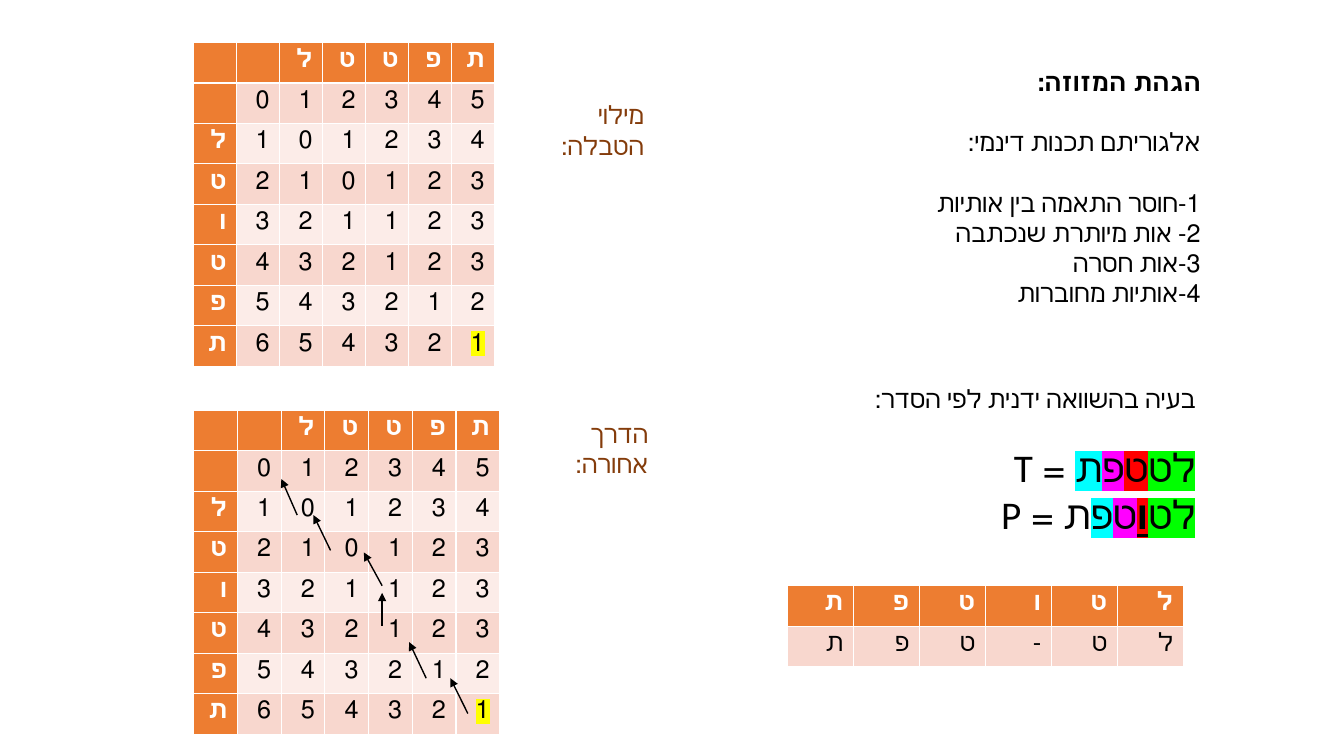
from lxml import etree
from pptx import Presentation
from pptx.dml.color import RGBColor
from pptx.enum.lang import MSO_LANGUAGE_ID
from pptx.enum.shapes import MSO_CONNECTOR
from pptx.enum.text import PP_ALIGN
from pptx.oxml.ns import qn
from pptx.util import Cm, Pt

RIGHT = PP_ALIGN.RIGHT
LINE = MSO_CONNECTOR.STRAIGHT
HEBREW = MSO_LANGUAGE_ID.HEBREW

HUES = {
    "black": "000000", "white": "FFFFFF", "brown": "843C0B",
    "orange": "ED7D31", "dark": "F8D7CE", "light": "FCECE8",
    "green": "00FF00", "red": "FF0000", "pink": "FF00FF",
    "cyan": "00FFFF", "yellow": "FFFF00",
}


def style(para, hue="black", size=18, bold=False):
    para.alignment = RIGHT
    para._p.get_or_add_pPr().set("rtl", "1")
    for run in para.runs:
        font = run.font
        font.size = Pt(size)
        font.bold = bold
        font.name = "Calibri"
        font.language_id = HEBREW
        font.color.rgb = RGBColor.from_string(HUES[hue])


def mark(run, hue):
    tag = etree.Element(qn("a:highlight"))
    etree.SubElement(tag, qn("a:srgbClr")).set("val", HUES[hue])
    run._r.rPr.find(qn("a:solidFill")).addnext(tag)


deck = Presentation()
deck.slide_width = Cm(33.87)
deck.slide_height = Cm(19.05)
slide = deck.slides.add_slide(deck.slide_layouts[6])
shapes = slide.shapes

notes = [
    ("הגהת המזוזה:", 0),
    ("אלגוריתם תכנות דינמי:", 21.5),
    ("1-חוסר התאמה בין אותיות", 21.5),
    ("2- אות מיותרת שנכתבה", 0),
    ("3-אות חסרה", 0),
    ("4-אותיות מחוברות", 0),
]
box = shapes.add_textbox(Cm(19.18), Cm(1.55), Cm(11.33), Cm(7.19))
frame = box.text_frame
frame.word_wrap = True
frame.text = "\n".join(text for text, gap in notes)
for row, (para, (text, gap)) in enumerate(zip(frame.paragraphs, notes)):
    style(para, bold=row == 0)
    para.space_before = Pt(gap)

words = [
    [("לט", "green"), ("ט", "red"), ("פ", "pink"), ("ת", "cyan"), (" = T", None)],
    [("לט", "green"), ("ו", "red"), ("ט", "pink"), ("פ", "cyan"), ("ת = P", None)],
]
box = shapes.add_textbox(Cm(21.64), Cm(9.53), Cm(8.74), Cm(4.19))
frame = box.text_frame
frame.word_wrap = True
frame.text = "בעיה בהשוואה ידנית לפי הסדר:"
style(frame.paragraphs[0])
for word in words:
    para = frame.add_paragraph()
    for text, hue in word:
        para.add_run().text = text
    style(para, size=28)
    for run, (text, hue) in zip(para.runs, word):
        if hue:
            mark(run, hue)
        if text == "ו":
            run.font.bold = True
            run.font.underline = True
frame.paragraphs[1].space_before = Pt(21.5)

labels = [
    ("מילוי הטבלה:", 13.89, 2.39, 1.5),
    ("הדרך אחורה:", 14.25, 10.41, 1.75),
]
for text, left, top, inset in labels:
    box = shapes.add_textbox(Cm(left), Cm(top), Cm(3.84), Cm(1.02))
    frame = box.text_frame
    frame.word_wrap = True
    frame.margin_left = 0
    frame.margin_right = Cm(inset)
    frame.text = text
    style(frame.paragraphs[0], "brown")

costs = [
    "  לטטפת",
    " 012345",
    "ל101234",
    "ט210123",
    "ו321123",
    "ט432123",
    "פ543212",
    "ת654321",
]
pairs = ["תפטוטל", "תפט-טל"]
tables = [
    (costs, 4.88, 1.07, 7.59, True),
    (costs, 4.88, 10.34, 7.72, True),
    (pairs, 19.84, 14.76, 9.98, False),
]
for rows, left, top, width, side in tables:
    high = Cm(1.02) * len(rows)
    table = shapes.add_table(
        len(rows), len(rows[0]), Cm(left), Cm(top), Cm(width), high).table
    table.first_col = side
    for r, row in enumerate(rows):
        for c, sign in enumerate(row):
            cell = table.cell(r, c)
            head = r == 0 or (side and c == 0)
            fill = "orange" if head else "dark" if r % 2 else "light"
            cell.fill.solid()
            cell.fill.fore_color.rgb = RGBColor.from_string(HUES[fill])
            cell.text_frame.text = sign.strip()
            style(cell.text_frame.paragraphs[0],
                  "white" if head else "black", bold=head)
    if side:
        mark(cell.text_frame.paragraphs[0].runs[0], "yellow")

steps = [
    (11.79, 17.98, 11.35, 17.09),
    (10.74, 17.09, 10.31, 16.18),
    (9.63, 15.77, 9.63, 14.94),
    (9.63, 14.76, 9.17, 13.92),
    (8.33, 13.87, 7.9, 12.98),
    (7.49, 12.98, 7.09, 12.07),
]
for step in steps:
    arrow = shapes.add_connector(LINE, *[Cm(n) for n in step])
    arrow.line.width = Pt(1)
    arrow.line.color.rgb = RGBColor.from_string(HUES["black"])
    tip = etree.SubElement(arrow.line._get_or_add_ln(), qn("a:tailEnd"))
    tip.set("type", "triangle")
    etree.SubElement(arrow._element.spPr, qn("a:effectLst"))

deck.save("out.pptx")
